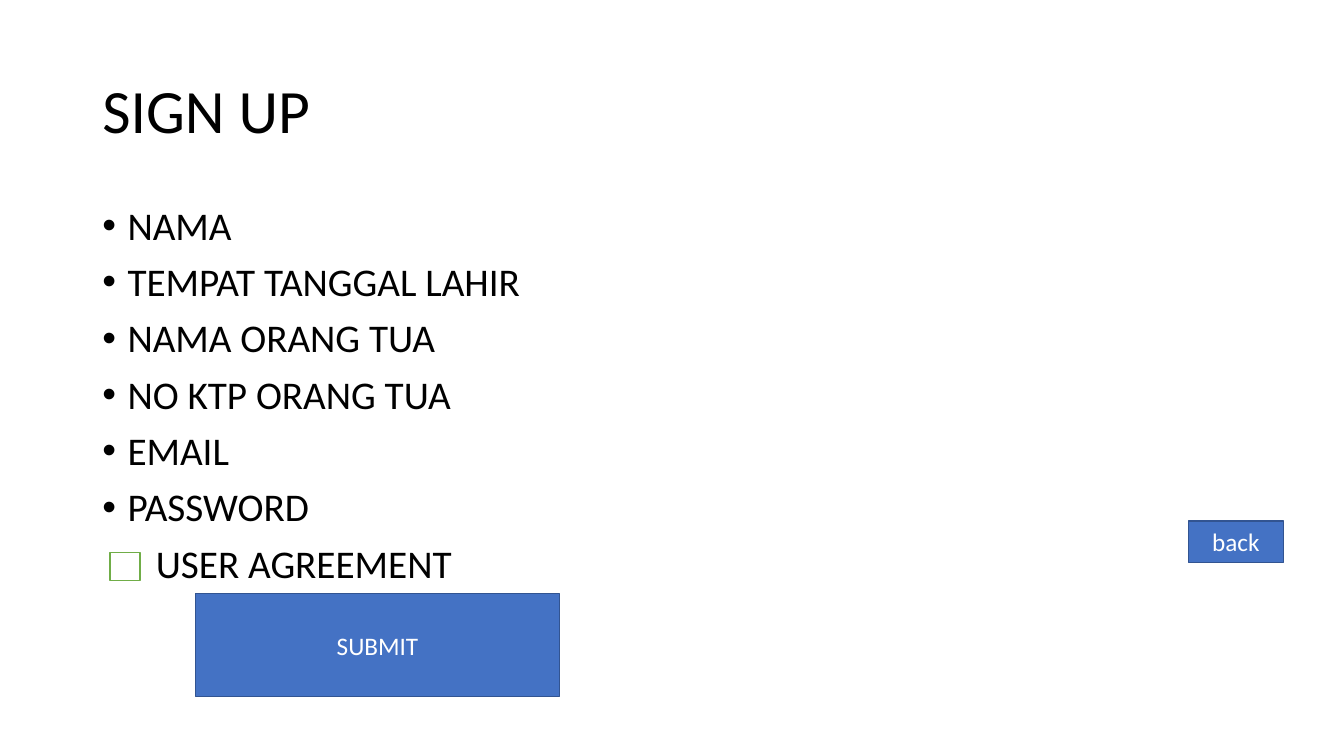
from lxml.etree import SubElement as Sub
from pptx import Presentation
from pptx.dml.color import RGBColor as Rgb
from pptx.enum.shapes import MSO_SHAPE as Kind
from pptx.enum.text import MSO_ANCHOR as Anchor, PP_ALIGN as Align
from pptx.oxml.ns import qn
from pptx.util import Cm, Pt

FONT = "Calibri"
COLORS = {"ink": "000000", "paper": "FFFFFF", "blue": "4472C4",
          "edge": "325491", "green": "70AD47"}
TITLE = "SIGN UP"
FIELDS = ["NAMA", "TEMPAT TANGGAL LAHIR", "NAMA ORANG TUA",
          "NO KTP ORANG TUA", "EMAIL", "PASSWORD"]
TERMS = "USER AGREEMENT"
LEFT, WIDE = 2.33, 29.21
HANG, INSET = 0.635, 1.35
BOXES = [
    ("SUBMIT", (4.93, 14.96, 9.17, 2.59), "blue", "edge"),
    ("", (2.77, 13.92, 0.76, 0.71), "paper", "green"),
    ("back", (29.95, 13.13, 2.39, 1.04), "blue", "edge"),
]


def color(name):
    return Rgb.from_string(COLORS[name])


def style(para, size, ink):
    para.font.name = FONT
    para.font.size = Pt(size)
    para.font.color.rgb = color(ink)


def add_text(slide, top, high, anchor):
    box = slide.shapes.add_textbox(Cm(LEFT), Cm(top), Cm(WIDE), Cm(high))
    frame = box.text_frame
    frame.word_wrap = True
    frame.vertical_anchor = anchor
    return frame


def add_list(frame):
    for i, label in enumerate(FIELDS + [TERMS]):
        para = frame.add_paragraph() if i else frame.paragraphs[0]
        para.text = label
        props = para._p.get_or_add_pPr()
        if label == TERMS:
            props.set("marL", str(Cm(INSET)))
        else:
            props.set("marL", str(Cm(HANG)))
            props.set("indent", str(-Cm(HANG)))
            Sub(props, qn("a:buFont")).set("typeface", "Arial")
            Sub(props, qn("a:buChar")).set("char", "•")
        para.line_spacing = 0.9
        if i:
            para.space_before = Pt(10)
        style(para, 28, "ink")


def add_box(slide, label, area, fill, edge):
    box = slide.shapes.add_shape(Kind.RECTANGLE, *map(Cm, area))
    box.shadow.inherit = False
    box.fill.solid()
    box.fill.fore_color.rgb = color(fill)
    box.line.color.rgb = color(edge)
    box.line.width = Pt(1)
    if label:
        frame = box.text_frame
        frame.vertical_anchor = Anchor.MIDDLE
        para = frame.paragraphs[0]
        para.text = label
        para.alignment = Align.CENTER
        style(para, 18, "paper")


def main():
    deck = Presentation()
    deck.slide_width, deck.slide_height = Cm(33.87), Cm(19.05)
    slide = deck.slides.add_slide(deck.slide_layouts[6])
    head = add_text(slide, 1.01, 3.68, Anchor.MIDDLE).paragraphs[0]
    head.text = TITLE
    head.line_spacing = 0.9
    style(head, 44, "ink")
    add_list(add_text(slide, 5.07, 12.09, Anchor.TOP))
    for box in BOXES:
        add_box(slide, *box)
    deck.save("out.pptx")


if __name__ == "__main__":
    main()
